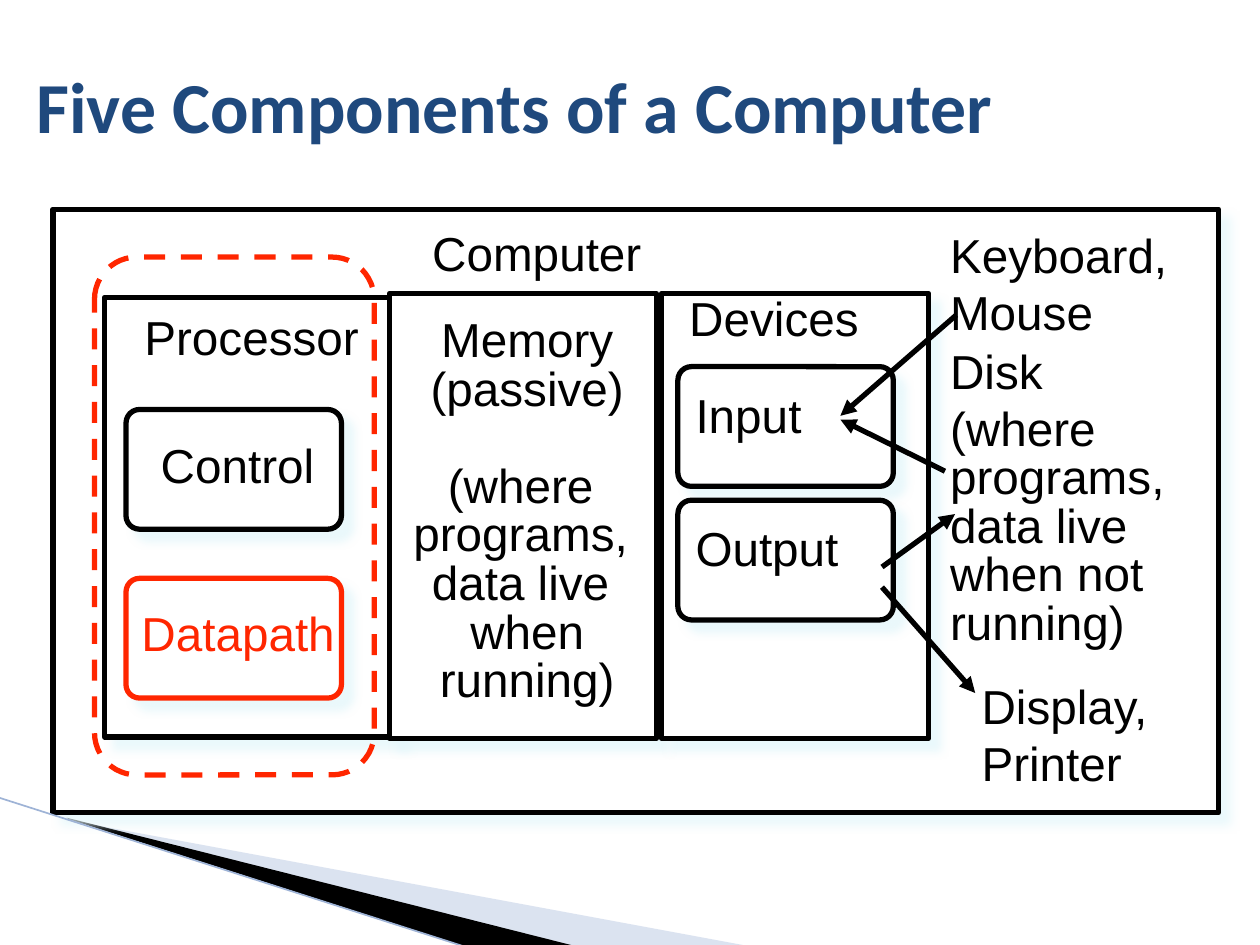
"""Build a slide showing the five components of a computer."""
from lxml import etree
from pptx import Presentation, util as u
from pptx.dml.color import RGBColor as Rgb
from pptx.enum import dml, shapes, text
from pptx.oxml import parse_xml
from pptx.oxml.ns import nsdecls, qn

In = u.Inches
theme = {
    "ink": "000000", "red": "FF2600", "white": "FFFFFF", "title": "1F497D",
    "pale": "A7B9DB", "edge": "9EB3D6", "glow": "E4F7FB",
    "face": "Arial", "head": "Calibri", "body": 27.2, "big": 41, "line": 3,
}
Kind = shapes.MSO_SHAPE
mid = text.PP_ALIGN.CENTER
left = text.PP_ALIGN.LEFT


def tone(name):
    return Rgb.from_string(theme[name])


def write(spot, lines, align=left, pad=0.03, dent=0.04, tight=0.85,
          face="face", size="body", ink="ink", bold=False, anchor=text.MSO_ANCHOR.TOP):
    frame = slide.shapes.add_textbox(*map(In, spot)).text_frame
    look = {"word_wrap": True, "vertical_anchor": anchor, "margin_left": In(pad + dent),
            "margin_right": In(pad), "margin_top": In(pad), "margin_bottom": In(pad)}
    for key, val in look.items():
        setattr(frame, key, val)
    for i, line in enumerate(lines):
        para = frame.add_paragraph() if i else frame.paragraphs[0]
        para.text = line
        para.alignment = align
        para.line_spacing = tight
        for run in para.runs:
            form = {"name": theme[face], "size": u.Pt(theme[size]), "bold": bold}
            for key, val in form.items():
                setattr(run.font, key, val)
            run.font.color.rgb = tone(ink)
    return frame


deck = Presentation()
deck.slide_width, deck.slide_height = In(10), In(7.5)
slide = deck.slides.add_slide(deck.slide_layouts[6])

wedges = [
    ("pale", 40, [(0.55, 6.51), (5.95, 7.51), (4.56, 7.51), (0.55, 6.5)]),
    ("ink", 100, [(0.53, 6.49), (4.57, 7.51), (3.72, 7.52), (0.54, 6.5)]),
]
for ink, alpha, pts in wedges:
    path = [(In(x), In(y)) for x, y in pts]
    pen = slide.shapes.build_freeform(*path[0])
    pen.add_line_segments(path[1:])
    wedge = pen.convert_to_shape()
    wedge.shadow.inherit = False
    wedge.fill.solid()
    wedge.fill.fore_color.rgb = tone(ink)
    wedge.line.fill.background()
    hue = wedge.fill._xPr.find(".//" + qn("a:srgbClr"))
    etree.SubElement(hue, qn("a:alpha")).set("val", str(alpha * 1000))

boxes = [
    (Kind.RECTANGLE, (0.42, 1.66, 9.25, 4.79), 0, "ink"),
    (Kind.RECTANGLE, (0.83, 2.36, 2.32, 3.49), 0, "ink"),
    (Kind.RECTANGLE, (3.09, 2.33, 2.12, 3.53), 0, "ink"),
    (Kind.RECTANGLE, (5.25, 2.33, 2.12, 3.53), 0, "ink"),
    (Kind.ROUNDED_RECTANGLE, (1, 3.25, 1.71, 0.95), 0.113, "ink"),
    (Kind.ROUNDED_RECTANGLE, (1, 4.59, 1.71, 0.95), 0.113, "red"),
    (Kind.ROUNDED_RECTANGLE, (5.38, 2.91, 1.71, 0.95), 0.113, "ink"),
    (Kind.ROUNDED_RECTANGLE, (5.38, 3.97, 1.71, 0.95), 0.113, "ink"),
    (Kind.ROUNDED_RECTANGLE, (0.75, 2.04, 2.22, 4.11), 0.151, "red"),
]
for kind, spot, curve, ink in boxes:
    box = slide.shapes.add_shape(kind, *map(In, spot))
    box.shadow.inherit = False
    box.line.color.rgb = tone(ink)
    box.line.width = u.Pt(theme["line"])
    if curve:
        box.adjustments[0] = curve
    if curve == 0.151:
        box.fill.background()
        box.line.dash_style = dml.MSO_LINE.DASH
        continue
    box.fill.solid()
    box.fill.fore_color.rgb = tone("white")
    glow = parse_xml(
        f'<a:outerShdw {nsdecls("a")} blurRad="{u.Pt(5)}" dist="{u.Pt(8)}" dir="2700000">'
        f'<a:srgbClr val="{theme["glow"]}"><a:alpha val="75000"/></a:srgbClr></a:outerShdw>')
    box._element.spPr.find(qn("a:effectLst")).append(glow)

write((0.19, 0.21, 9.62, 1.25), ["Five Components of a Computer"], pad=0.1, dent=0, tight=1,
      face="head", size="big", ink="title", bold=True, anchor=text.MSO_ANCHOR.MIDDLE)

labels = [
    ((0.82, 2.48, 2.21, 0.44), " Processor", mid, "ink"),
    ((3.36, 1.82, 1.81, 0.44), "Computer", left, "ink"),
    ((1.09, 3.5, 1.55, 0.44), "Control", mid, "ink"),
    ((1.03, 4.83, 1.68, 0.44), "Datapath", mid, "red"),
    ((5.4, 2.33, 1.49, 0.44), "Devices", left, "ink"),
    ((5.45, 3.1, 0.99, 0.44), "Input", left, "ink"),
    ((5.45, 4.16, 1.28, 0.44), "Output", left, "ink"),
]
for spot, word, align, ink in labels:
    write(spot, [word], align, ink=ink)

store = write((3.08, 2.5, 2.17, 3.17), ["Memory", "(passive)", "(where ", "programs, ",
              "data live ", "when", "running)"], mid)
store.paragraphs[2].space_before = u.Pt(27.8)

wide = {"pad": 0.04, "dent": 0, "tight": 1}
write((7.5, 1.75, 1.92, 0.99), ["Keyboard, \nMouse"], **wide)
write((7.75, 5.33, 1.51, 0.99), ["Display, \nPrinter"], **wide)
disk = write((7.5, 2.67, 2.08, 2.55),
             ["Disk \n(where", "programs,", "data live when not running)"], **wide)
for para in disk.paragraphs[1:]:
    para.line_spacing = 0.85

links = [
    ("ink", theme["line"], (7, 4.66, 7.74, 5.5)),
    ("ink", theme["line"], (7.59, 2.5, 6.67, 3.3)),
    ("ink", theme["line"], (7.5, 3.74, 6.67, 3.33)),
    ("ink", theme["line"], (7, 4.5, 7.58, 4.08)),
    ("edge", 0.95, (-0.01, 6.33, 3.71, 7.52)),
]
for ink, width, ends in links:
    link = slide.shapes.add_connector(shapes.MSO_CONNECTOR.STRAIGHT, *map(In, ends))
    link.line.color.rgb = tone(ink)
    link.line.width = u.Pt(width)
    if ink == "ink":
        etree.SubElement(link.line._get_or_add_ln(), qn("a:tailEnd")).set("type", "triangle")
    etree.SubElement(link._element.spPr, qn("a:effectLst"))

deck.save("out.pptx")
